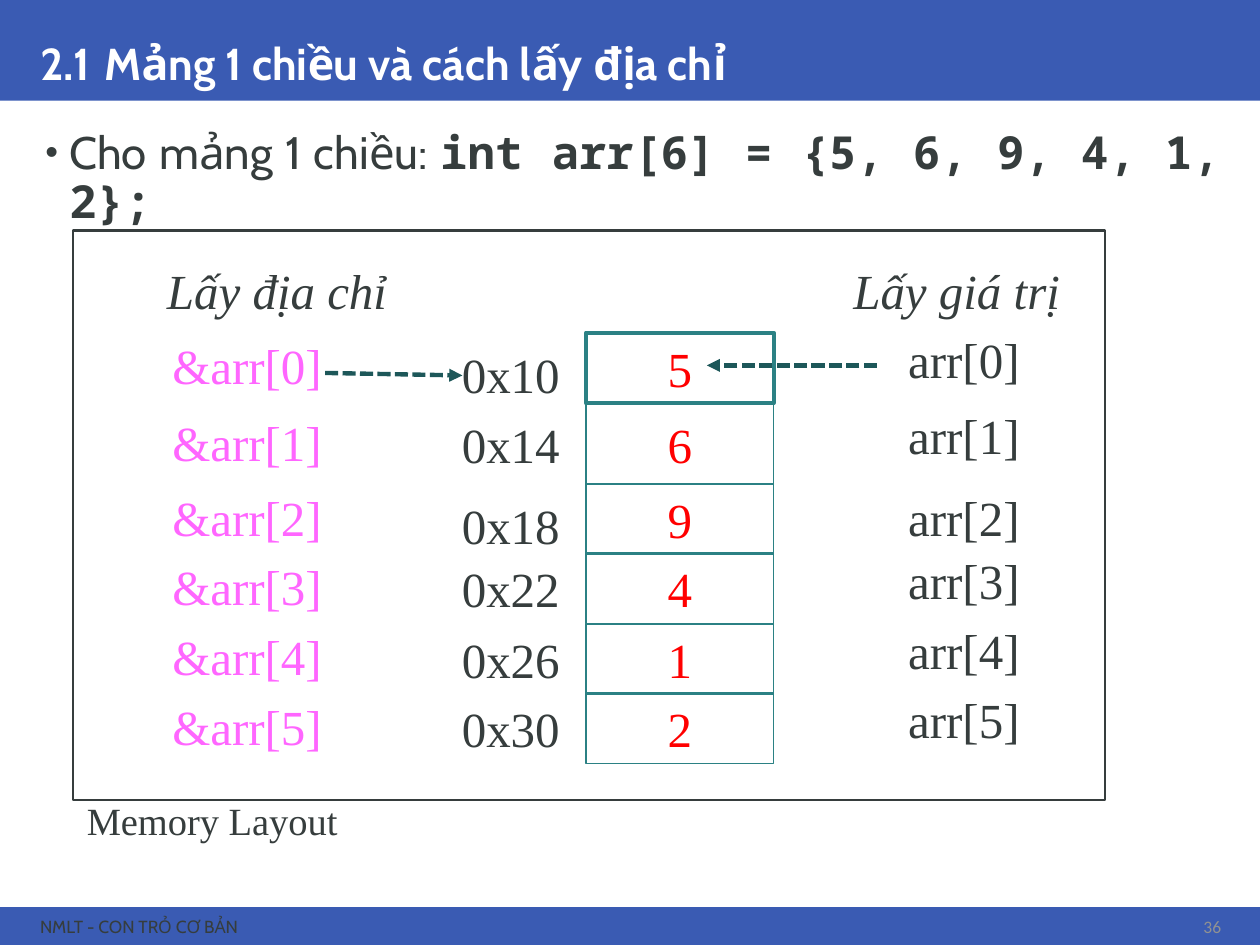
from dataclasses import dataclass
from itertools import accumulate

from lxml.etree import SubElement
from pptx import Presentation
from pptx.dml.color import RGBColor
from pptx.enum.dml import MSO_LINE_DASH_STYLE as Dash
from pptx.enum.shapes import MSO_CONNECTOR as Conn, MSO_SHAPE as Kind
from pptx.enum.text import MSO_ANCHOR as Anchor, MSO_AUTO_SIZE as Fit, PP_ALIGN as Align
from pptx.oxml.ns import qn
from pptx.util import Inches, Pt


@dataclass(frozen=True)
class Theme:
    blue: str = "3A5BB3"
    white: str = "FFFFFF"
    black: str = "000000"
    ink: str = "363D3D"
    gray: str = "919292"
    teal: str = "2B8184"
    deep: str = "1D5759"
    red: str = "FF0000"
    pink: str = "FF66FF"
    sans: str = "Cabin"
    plain: str = "Calibri"
    mono: str = "Noto Sans Mono"
    serif: str = "Times New Roman"
    head: float = 25.5
    gap: float = 36
    body: float = 26
    cell: float = 28
    note: float = 22
    foot: float = 10


T = Theme()
WIDE, HIGH = 10, 7.5
VALUES = [5, 6, 9, 4, 1, 2]
HEXES = ["0x10", "0x14", "0x18", "0x22", "0x26", "0x30"]

# Memory grid: row heights, row tops, column lefts and widths
ROWS = [0.57, 0.63, 0.55, 0.56, 0.55, 0.56]
TOPS = list(accumulate(ROWS[:-1], initial=2.64))
REF, ADDR, CELL, ITEM = (1.27, 3.17), (3.05, 1.49), (4.65, 1.49), (6.7, 1.49)
LOW = 0.05  # drop of the labels that sit lower than their row


def rgb(code):
    return RGBColor.from_string(code)


def box(x, y, w, h):
    return [Inches(v) for v in (x, y, w, h)]


def add_run(par, text, font, size, color, bold=None, slant=None):
    run = par.add_run()
    run.text = text
    face = run.font
    face.name, face.size, face.bold, face.italic = font, Pt(size), bold, slant
    face.color.rgb = rgb(color)


def add_text(slide, place, text, color=T.ink, font=T.serif, size=T.cell,
             align=Align.LEFT, slant=None):
    frame = slide.shapes.add_textbox(*box(*place)).text_frame
    frame.word_wrap = True
    frame.vertical_anchor = Anchor.MIDDLE
    par = frame.paragraphs[0]
    par.alignment = align
    add_run(par, text, font, size, color, slant=slant)
    return frame


def add_rect(slide, place, fill=None, line=None, width=1):
    rect = slide.shapes.add_shape(Kind.RECTANGLE, *box(*place))
    rect.shadow.inherit = False
    if fill:
        rect.fill.solid()
        rect.fill.fore_color.rgb = rgb(fill)
    else:
        rect.fill.background()
    if line:
        rect.line.color.rgb = rgb(line)
        rect.line.width = Pt(width)
    else:
        rect.line.fill.background()
    return rect


def add_band(slide, place):
    """Add a colour band behind the placeholders."""
    band = add_rect(slide, place, fill=T.blue)
    slide.shapes._spTree.insert(2, band._element)


def add_arrow(slide, start, end):
    line = slide.shapes.add_connector(
        Conn.STRAIGHT, *[Inches(v) for v in (*start, *end)])
    line.line.color.rgb = rgb(T.deep)
    line.line.width = Pt(2.5)
    line.line.dash_style = Dash.SQUARE_DOT
    SubElement(line.line._get_or_add_ln(), qn("a:tailEnd"), type="triangle")
    SubElement(line._element.spPr, qn("a:effectLst"))


def set_holder(holder, place, anchor):
    """Move a placeholder and return its first paragraph."""
    holder.left, holder.top, holder.width, holder.height = box(*place)
    frame = holder.text_frame
    frame.auto_size = Fit.NONE
    frame.vertical_anchor = anchor
    par = frame.paragraphs[0]
    par.line_spacing = 0.9
    return par


def add_title(slide):
    par = set_holder(slide.shapes.title, (0.22, 0, 9.57, 0.8), Anchor.BOTTOM)
    par.alignment = Align.LEFT
    add_run(par, "2.1", T.sans, T.head, T.white, True)
    add_run(par, " ", T.sans, T.gap, T.black, True)
    add_run(par, "Mảng 1 chiều và cách lấy địa chỉ", T.sans, T.head, T.white, True)


def add_body(slide):
    par = set_holder(slide.placeholders[1], (0.22, 0.98, 9.57, 6.05), Anchor.TOP)
    par.alignment = Align.JUSTIFY
    par.space_before = Pt(13.5)
    props = par._p.get_or_add_pPr()
    props.set("marL", str(Inches(0.23)))
    props.set("indent", str(Inches(-0.19)))
    SubElement(props, qn("a:buSzPct"), val="80000")
    SubElement(props, qn("a:buFont"), typeface="Arial")
    SubElement(props, qn("a:buChar"), char="•")
    add_run(par, "Cho mảng 1 chiều: ", T.sans, T.body, T.ink)
    add_run(par, "int arr[6] = {5, 6, 9, 4, 1, 2};", T.mono, T.body, T.ink, True)


def add_cell(slide, place, value, width):
    frame = add_rect(slide, place, line=T.teal, width=width).text_frame
    frame.vertical_anchor = Anchor.MIDDLE
    par = frame.paragraphs[0]
    par.alignment = Align.CENTER
    add_run(par, str(value), T.serif, T.cell, T.red)


def add_row(slide, i):
    """Add one array item: its reference, address, value and name."""
    top = TOPS[i]
    high = 0.63 if i == 1 else 0.56

    def spot(col, shift=0):
        return col[0], top + shift, col[1], high

    add_cell(slide, spot(CELL), VALUES[i], 1 if i else 2.25)
    add_text(slide, spot(REF, -0.02), f"&arr[{i}]", T.pink)
    add_text(slide, spot(ADDR, LOW if i in (0, 2) else 0), HEXES[i],
             align=Align.RIGHT)
    add_text(slide, spot(ITEM, -0.07 + (LOW if i == 2 else 0)), f"arr[{i}]",
             align=Align.RIGHT)


def add_memory(slide):
    add_rect(slide, (0.58, 1.83, 8.19, 4.52), line=T.ink, width=1.5)
    note = add_text(slide, (0.59, 6.28, 2.29, 0.47), "Memory Layout", size=T.note)
    note.word_wrap = False
    note.vertical_anchor = Anchor.TOP
    for left, text in ((1.05, "Lấy địa chỉ"), (6.39, "Lấy giá trị")):
        add_text(slide, (left, 2.02, 2.12, 0.56), text, align=Align.RIGHT, slant=True)
    for i in range(len(VALUES)):
        add_row(slide, i)
    add_arrow(slide, (2.58, 2.96), (3.67, 2.98))
    add_arrow(slide, (6.96, 2.9), (5.61, 2.9))


def add_footer(slide):
    add_text(slide, (0.22, 7.22, 8.26, 0.26), "NMLT - CON TRỎ CƠ BẢN",
             font=T.sans, size=T.foot)
    add_text(slide, (9.26, 7.22, 0.53, 0.26), "36", T.gray, T.plain, T.foot,
             Align.RIGHT)


def main():
    prs = Presentation()
    prs.slide_width, prs.slide_height = Inches(WIDE), Inches(HIGH)
    slide = prs.slides.add_slide(prs.slide_layouts[1])
    add_band(slide, (0, 0, WIDE, 0.8))
    add_band(slide, (0, HIGH - 0.3, WIDE, 0.3))
    add_title(slide)
    add_body(slide)
    add_memory(slide)
    add_footer(slide)
    prs.save("out.pptx")


if __name__ == "__main__":
    main()
